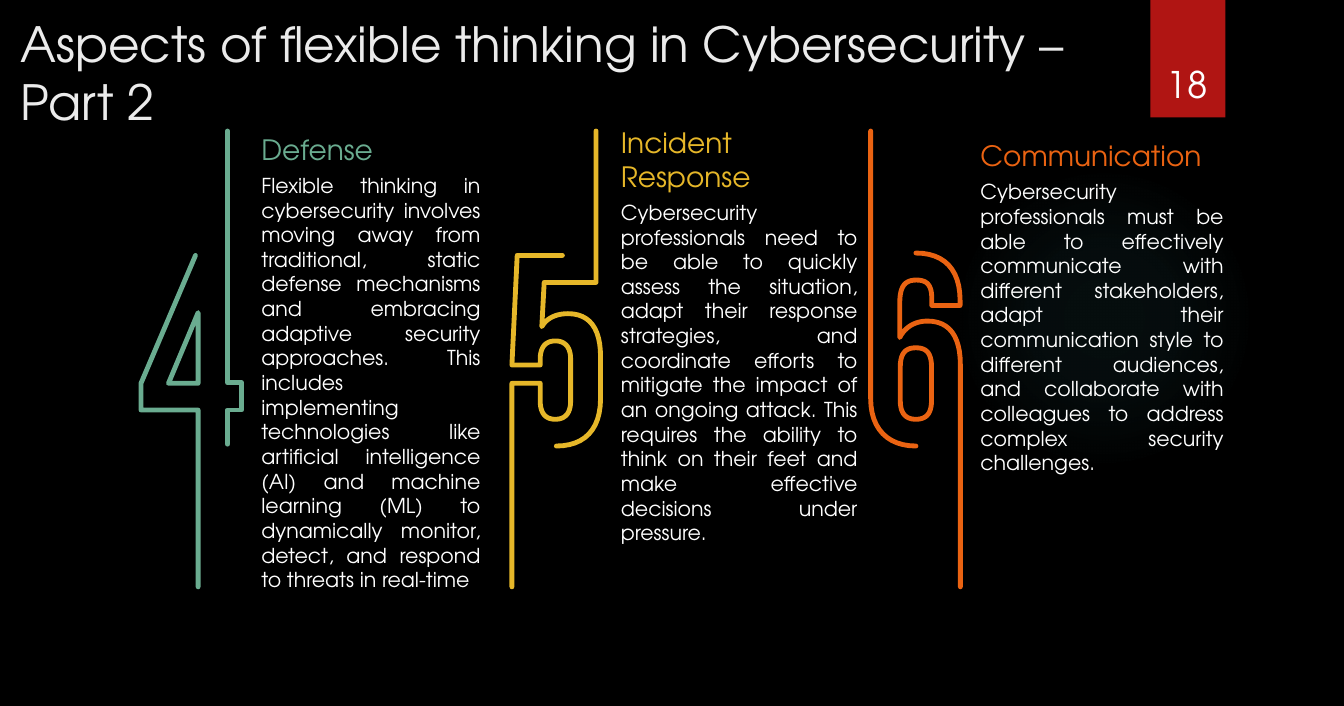
import dataclasses

import lxml.etree
import pptx
import pptx.dml.color
import pptx.enum.shapes
import pptx.enum.text
import pptx.oxml
import pptx.oxml.ns
import pptx.util

Cm = pptx.util.Cm
Pt = pptx.util.Pt
Anchor = pptx.enum.text.MSO_ANCHOR
Align = pptx.enum.text.PP_ALIGN
Fit = pptx.enum.text.MSO_AUTO_SIZE
Preset = pptx.enum.shapes.MSO_SHAPE


@dataclasses.dataclass(frozen=True)
class Theme:
    font: str = "TeX Gyre Adventor"
    background: str = "000000"
    title: str = "EBEBEB"
    text: str = "FFFFFF"
    ribbon: str = "B01513"
    glow: str = "50B9C1"
    green: str = "6AAC90"
    yellow: str = "E6B729"
    orange: str = "EA6312"
    title_size: float = 52
    number_size: float = 39.2
    heading_size: float = 30
    body_size: float = 22
    stroke: float = 5.2


THEME = Theme()
DIGIT_TOP = 4.85

# Strokes are in cm from the digit's corner: pairs are corners, sixes are Bezier curves.
FOUR = [
    [(2.16, 4.8), (0.1, 9.63), (0.1, 10.64), (2.26, 10.64), (2.26, 17.32)],
    [(3.37, 0.1), (3.37, 9.61), (3.9, 9.61), (3.9, 10.64), (3.37, 10.64), (3.37, 11.93)],
    [(1.14, 9.63), (2.26, 9.63), (2.26, 6.96), (1.14, 9.63)],
]
FIVE = [
    [(0.1, 17.32), (0.1, 9.63), (1.17, 9.63), (1.17, 10.29),
     (1.17, 10.8, 1.4, 10.99, 1.74, 10.99), (2.08, 10.99, 2.32, 10.8, 2.32, 10.3),
     (2.32, 8.72), (2.32, 8.23, 2.08, 8.03, 1.74, 8.03),
     (1.4, 8.03, 1.17, 8.23, 1.17, 8.72), (1.17, 8.94), (0.1, 8.94), (0.3, 4.8), (2.01, 4.8)],
    [(1.78, 12), (2.84, 12, 3.45, 11.38, 3.45, 10.21), (3.45, 8.62),
     (3.45, 7.56, 3.04, 7, 2.22, 7), (1.78, 7, 1.42, 7.16, 1.23, 7.49),
     (1.32, 5.82), (3.28, 5.82), (3.28, 0.1)],
]
SIX = [
    [(3.48, 17.32), (3.48, 8.92), (3.48, 7.85, 3.06, 7.28, 2.24, 7.28),
     (1.78, 7.28, 1.4, 7.49, 1.19, 7.9), (1.19, 6.6), (1.19, 5.94, 1.4, 5.73, 1.82, 5.73),
     (2.24, 5.73, 2.4, 5.94, 2.4, 6.43), (2.4, 6.69), (3.47, 6.69), (3.47, 6.5),
     (3.47, 5.33, 2.87, 4.71, 1.8, 4.71)],
    [(1.8, 12), (0.74, 12, 0.09, 11.35, 0.09, 10.21), (0.09, 0.1)],
    [(1.21, 9), (1.21, 8.41, 1.49, 8.29, 1.8, 8.29), (2.12, 8.29, 2.39, 8.41, 2.39, 9),
     (2.39, 10.29), (2.39, 10.81, 2.16, 10.99, 1.8, 10.99),
     (1.45, 10.99, 1.21, 10.81, 1.21, 10.29), (1.21, 9)],
]

ASPECTS = [
    ("Defense",
     "Flexible thinking in cybersecurity involves moving away from traditional, static defense "
     "mechanisms and embracing adaptive security approaches. This includes implementing "
     "technologies like artificial intelligence (AI) and machine learning (ML) to dynamically "
     "monitor, detect, and respond to threats in real-time",
     THEME.green, FOUR, 5.23, (9.88, 4.85, 8.28, 17.81), 1.55),
    ("Incident Response",
     "Cybersecurity professionals need to be able to quickly assess the situation, adapt their "
     "response strategies, and coordinate efforts to mitigate the impact of an ongoing attack. "
     "This requires the ability to think on their feet and make effective decisions under "
     "pressure.",
     THEME.yellow, FIVE, 19.25, (23.47, 4.6, 8.94, 16.23), 2.82),
    ("Communication",
     "Cybersecurity professionals must be able to effectively communicate with different "
     "stakeholders, adapt their communication style to different audiences, and collaborate "
     "with colleagues to address complex security challenges.",
     THEME.orange, SIX, 32.82, (37.06, 5.1, 9.19, 13.07), 1.54),
]


def rgb(color):
    return pptx.dml.color.RGBColor.from_string(color)


def drawing_xml(body):
    return pptx.oxml.parse_xml(body.replace(">", f" {pptx.oxml.ns.nsdecls('a')}>", 1))


def write(frame, text, size, color, align=Align.LEFT, anchor=Anchor.TOP, side=0.25, fit=Fit.NONE):
    frame.word_wrap = True
    frame.auto_size = fit
    frame.vertical_anchor = anchor
    frame.margin_left = frame.margin_right = Cm(side)
    frame.margin_top = frame.margin_bottom = Cm(0.13)
    paragraph = frame.paragraphs[0]
    paragraph.alignment = align
    run = paragraph.add_run()
    run.text = text
    run.font.name = THEME.font
    run.font.size = Pt(size)
    run.font.color.rgb = rgb(color)


def add_glow(slide, box):
    glow = slide.shapes.add_shape(Preset.OVAL, *map(Cm, box))
    glow.shadow.inherit = False
    glow.line.fill.background()
    stops = "".join(
        f'<a:gs pos="{position}000"><a:srgbClr val="{THEME.glow}">'
        f'<a:alpha val="{opacity}000"/></a:srgbClr></a:gs>'
        for position, opacity in [(0, 7), (36, 6), (69, 0), (100, 0)])
    glow.element.spPr.find(pptx.oxml.ns.qn("a:prstGeom")).addnext(drawing_xml(
        f'<a:gradFill><a:gsLst>{stops}</a:gsLst><a:path path="circle">'
        '<a:fillToRect l="50000" t="50000" r="50000" b="50000"/></a:path></a:gradFill>'))


def add_ribbon(slide, box):
    left, top, width, height = box
    ribbon = slide.shapes.add_shape(Preset.RECTANGLE, *map(Cm, box))
    ribbon.shadow.inherit = False
    ribbon.fill.solid()
    ribbon.fill.fore_color.rgb = rgb(THEME.ribbon)
    ribbon.line.fill.background()
    ribbon.element.spPr.find(pptx.oxml.ns.qn("a:effectLst")).append(drawing_xml(
        '<a:outerShdw blurRad="38100" dist="25400" dir="5400000">'
        '<a:srgbClr val="000000"><a:alpha val="45000"/></a:srgbClr></a:outerShdw>'))
    number = slide.shapes.add_textbox(Cm(left - 0.35), Cm(top + 1.14), Cm(width + 0.64), Cm(3))
    write(number.text_frame, "18", THEME.number_size, THEME.text, Align.CENTER, Anchor.BOTTOM)


def add_title(slide, box):
    title = slide.shapes.title
    title.left, title.top, title.width, title.height = map(Cm, box)
    write(title.text_frame, "Aspects of flexible thinking in Cybersecurity – Part 2",
          THEME.title_size, THEME.title)


def trace(stroke, steps=12):
    points = [stroke[0]]
    for part in stroke[1:]:
        if len(part) == 2:
            points.append(part)
            continue
        controls = [points[-1], part[:2], part[2:4], part[4:]]
        for step in range(1, steps + 1):
            t = step / steps
            weights = [(1 - t) ** 3, 3 * t * (1 - t) ** 2, 3 * t * t * (1 - t), t ** 3]
            points.append(tuple(sum(w * c[axis] for w, c in zip(weights, controls))
                                for axis in (0, 1)))
    return [(Cm(x), Cm(y)) for x, y in points]


def add_digit(slide, left, top, strokes, color):
    traces = [trace(stroke) for stroke in strokes]
    builder = slide.shapes.build_freeform(*traces[0][0])
    for index, points in enumerate(traces):
        if index:
            builder.move_to(*points[0])
        builder.add_line_segments(points[1:], close=False)
    digit = builder.convert_to_shape(Cm(left), Cm(top))
    digit.shadow.inherit = False
    digit.fill.background()
    digit.line.color.rgb = rgb(color)
    digit.line.width = Pt(THEME.stroke)
    outline = digit.element.spPr.find(pptx.oxml.ns.qn("a:ln"))
    outline.set("cap", "rnd")
    lxml.etree.SubElement(outline, pptx.oxml.ns.qn("a:round"))


def add_aspect(slide, box, heading_height, heading, body, color):
    left, top, width, height = box
    group = slide.shapes.add_group_shape()
    heading_box = group.shapes.add_textbox(Cm(left), Cm(top), Cm(width), Cm(heading_height))
    write(heading_box.text_frame, heading, THEME.heading_size, color,
          anchor=Anchor.BOTTOM, side=0, fit=Fit.SHAPE_TO_FIT_TEXT)
    body_box = group.shapes.add_textbox(
        Cm(left), Cm(top + heading_height), Cm(width), Cm(height - heading_height))
    write(body_box.text_frame, body, THEME.body_size, THEME.text,
          Align.JUSTIFY, side=0, fit=Fit.SHAPE_TO_FIT_TEXT)


def main():
    deck = pptx.Presentation()
    deck.slide_width, deck.slide_height = Cm(50.8), Cm(26.67)
    slide = deck.slides.add_slide(deck.slide_layouts[5])
    slide.background.fill.solid()
    slide.background.fill.fore_color.rgb = rgb(THEME.background)
    add_glow(slide, (35.86, 6.53, 11.73, 10.97))
    add_ribbon(slide, (43.48, 0, 2.84, 4.44))
    add_title(slide, (0.53, 0.38, 41.02, 4.01))
    for heading, body, color, strokes, digit_left, box, heading_height in ASPECTS:
        add_aspect(slide, box, heading_height, heading, body, color)
        add_digit(slide, digit_left, DIGIT_TOP, strokes, color)
    deck.save("out.pptx")


if __name__ == "__main__":
    main()
